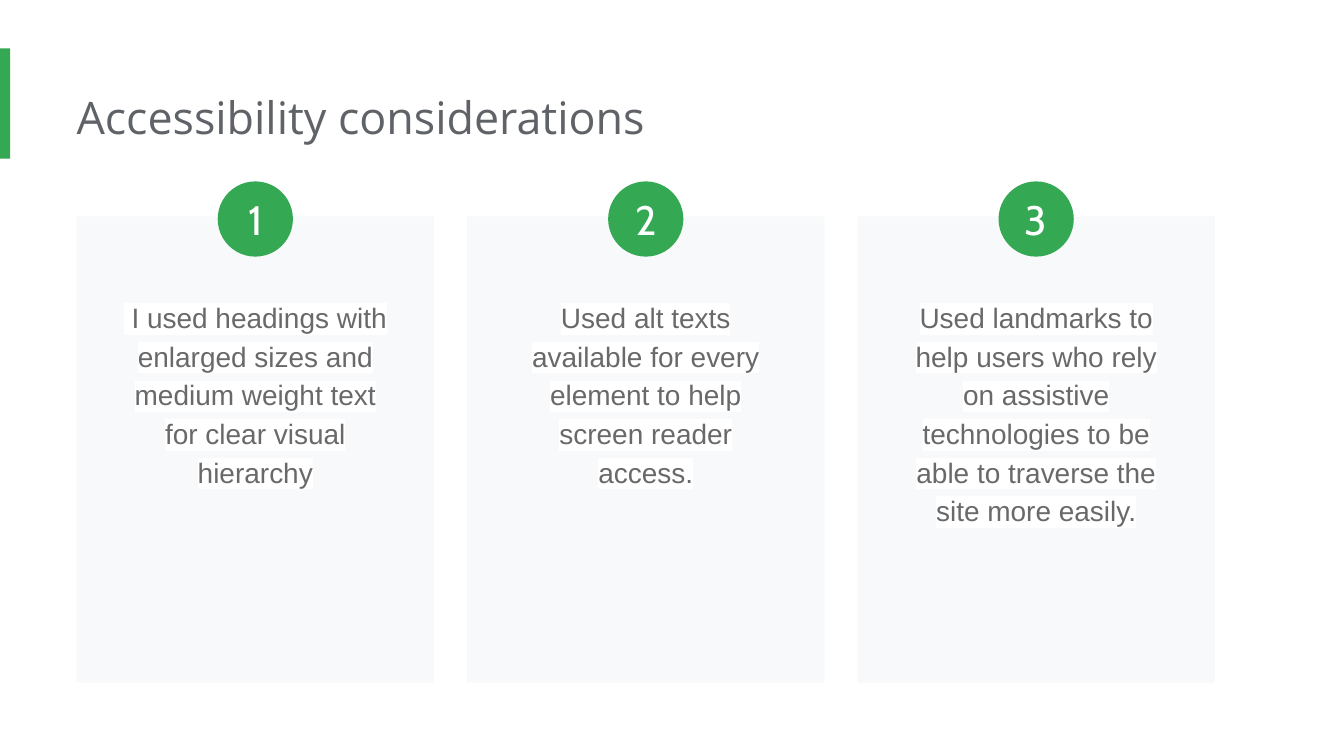
from lxml.etree import SubElement
from pptx import Presentation
from pptx.dml.color import RGBColor
from pptx.enum.shapes import MSO_SHAPE
from pptx.enum.text import MSO_ANCHOR, MSO_AUTO_SIZE, PP_ALIGN
from pptx.oxml.ns import qn
from pptx.util import Inches, Pt

PX = Inches(1) // 200
COLORS = {
    "green": "34A853",
    "card": "F8F9FA",
    "title": "5F6368",
    "body": "696969",
    "white": "FFFFFF",
}
CONSIDERATIONS = [
    " I used headings with enlarged sizes and medium weight text for clear visual hierarchy",
    "Used alt texts available for every element to help screen reader access.",
    "Used landmarks to help users who rely on assistive technologies to be able to traverse the site more easily.",
]
CARD_LEFT, CARD_TOP, CARD_WIDTH, CARD_HEIGHT = 114, 322, 532, 694
CARD_PITCH = 581
BADGE_SIZE = 112
BODY_WIDTH = 448


def write_text(frame, text, *, font, size, color, align=PP_ALIGN.LEFT,
               line_spacing=None, highlight=None):
    para = frame.paragraphs[0]
    para.alignment = align
    if line_spacing:
        para.line_spacing = line_spacing
    span = para.add_run()
    span.text = text
    span.font.size = Pt(size)
    span.font.color.rgb = RGBColor.from_string(COLORS[color])
    if highlight:
        mark = SubElement(span.font._element, qn("a:highlight"))
        SubElement(mark, qn("a:srgbClr"), val=COLORS[highlight])
    span.font.name = font


def set_insets(frame, left, top, right, bottom):
    frame.margin_left, frame.margin_top = left * PX, top * PX
    frame.margin_right, frame.margin_bottom = right * PX, bottom * PX


class SlideBuilder:
    def __init__(self, page):
        self.page = page

    def shape(self, kind, left, top, width, height, fill):
        shape = self.page.shapes.add_shape(
            kind, left * PX, top * PX, width * PX, height * PX)
        shape.shadow.inherit = False
        shape.fill.solid()
        shape.fill.fore_color.rgb = RGBColor.from_string(COLORS[fill])
        shape.line.fill.background()
        return shape

    def text(self, text, left, top, width, height, left_inset=20, **style):
        box = self.page.shapes.add_textbox(
            left * PX, top * PX, width * PX, height * PX)
        frame = box.text_frame
        frame.word_wrap = True
        frame.auto_size = MSO_AUTO_SIZE.SHAPE_TO_FIT_TEXT
        set_insets(frame, left_inset, 20, 20, 20)
        write_text(frame, text, **style)

    def badge(self, number, left, top):
        badge = self.shape(MSO_SHAPE.OVAL, left, top, BADGE_SIZE, BADGE_SIZE, "green")
        frame = badge.text_frame
        frame.vertical_anchor = MSO_ANCHOR.MIDDLE
        set_insets(frame, 0, 0, 0, 0)
        write_text(frame, str(number), font="Cabin", size=22, color="white",
                   align=PP_ALIGN.CENTER)

    def card(self, number, text, left):
        self.shape(MSO_SHAPE.RECTANGLE, left, CARD_TOP, CARD_WIDTH, CARD_HEIGHT, "card")
        body_height = 382 if len(text) > 100 else 324
        self.text(text, left + (CARD_WIDTH - BODY_WIDTH) // 2, 420,
                  BODY_WIDTH, body_height, font="Arial", size=15, color="body",
                  align=PP_ALIGN.CENTER, line_spacing=1.15, highlight="white")
        self.badge(number, left + (CARD_WIDTH - BADGE_SIZE) // 2, 270)


def main():
    deck = Presentation()
    deck.slide_width, deck.slide_height = 2000 * PX, 1125 * PX
    page = deck.slides.add_slide(deck.slide_layouts[6])
    builder = SlideBuilder(page)
    builder.shape(MSO_SHAPE.RECTANGLE, 0, 72, 15, 164, "green")
    builder.text("Accessibility considerations", CARD_LEFT, 114, 1532, 122,
                 left_inset=0, font="Open Sans", size=24, color="title")
    for index, text in enumerate(CONSIDERATIONS):
        builder.card(index + 1, text, CARD_LEFT + index * CARD_PITCH)
    deck.save("out.pptx")


if __name__ == "__main__":
    main()
